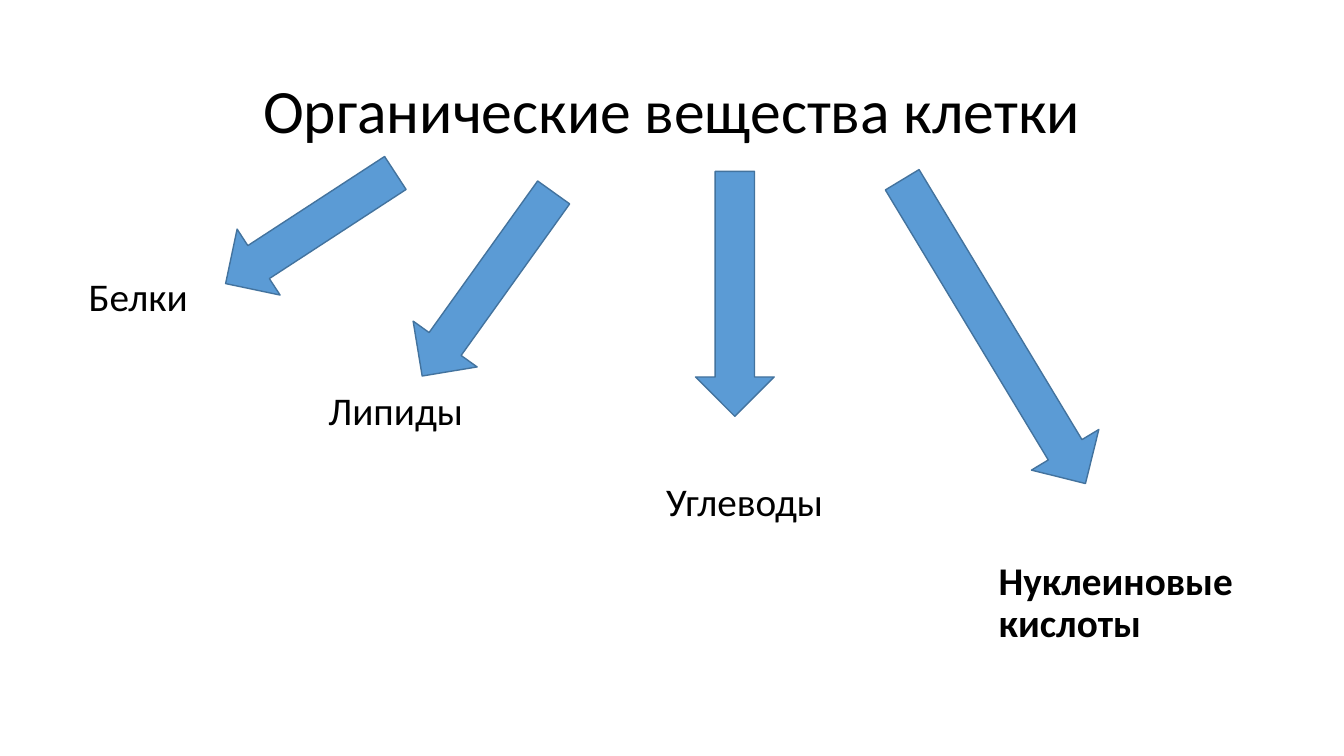
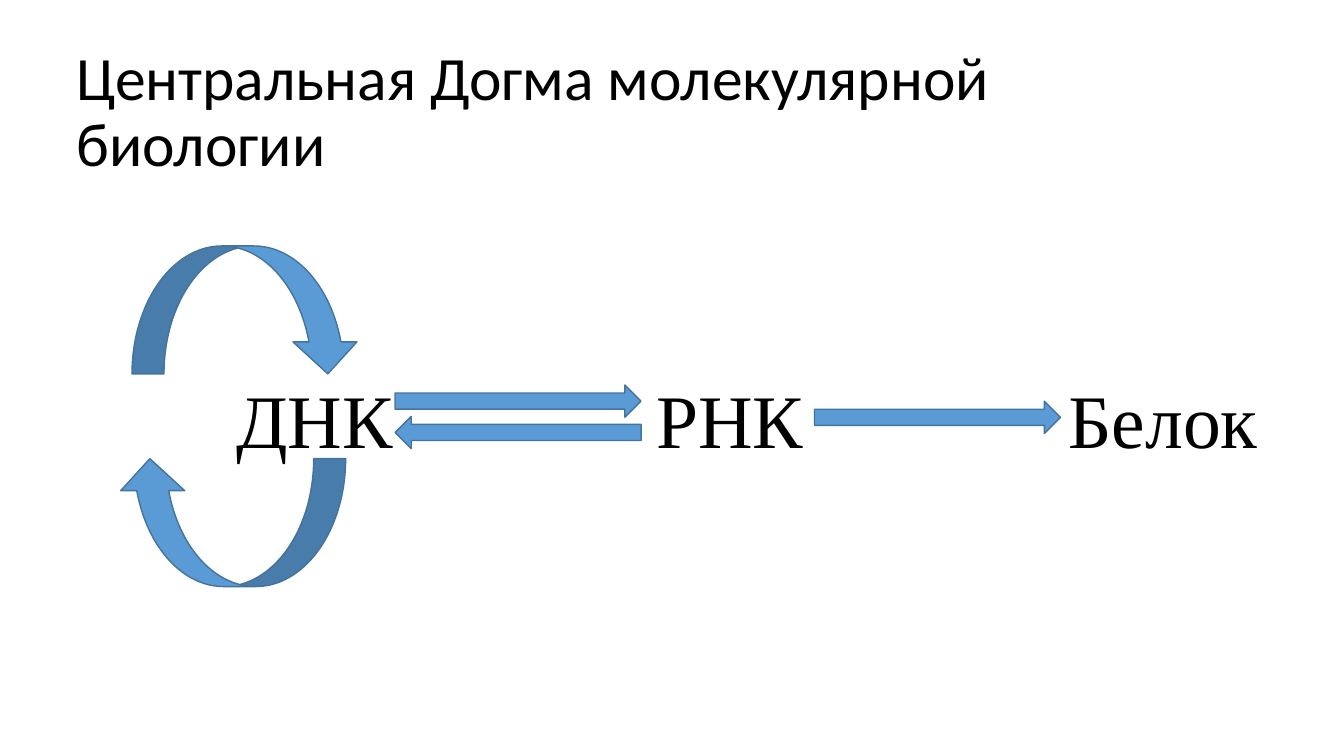
from pptx import Presentation
from pptx.dml.color import RGBColor
from pptx.enum.shapes import MSO_SHAPE
from pptx.enum.text import MSO_ANCHOR, PP_ALIGN
from pptx.util import Pt

DOWN = MSO_SHAPE.DOWN_ARROW
RIGHT = MSO_SHAPE.RIGHT_ARROW
CURVED = MSO_SHAPE.CURVED_DOWN_ARROW
TOP, MIDDLE = MSO_ANCHOR.TOP, MSO_ANCHOR.MIDDLE
LEFT, CENTER = PP_ALIGN.LEFT, PP_ALIGN.CENTER

BLUE = RGBColor(0x5B, 0x9B, 0xD5)
DARK_BLUE = RGBColor(0x43, 0x73, 0x9E)
BLACK = RGBColor(0, 0, 0)
BODY_FONT, SCHEME_FONT = "Calibri", "Times New Roman"

# Lengths are in points; boxes are (left, top, width, height).
SUBSTANCES_TITLE = "Органические вещества клетки"
SUBSTANCES = [  # name, box, bold
    ("Белки", (56.2, 194.4, 116.6, 56.2), False),
    ("Липиды", (227.5, 276.5, 116.6, 56.2), False),
    ("Углеводы", (468.7, 341.3, 133.9, 56.2), False),
    ("Нуклеиновые кислоты", (706.3, 397.4, 187.2, 68.4), True),
]
SUBSTANCE_ARROW_WIDTH = 56.2
SUBSTANCE_ARROWS = [  # left, top, length, rotation
    (193.7, 90.7, 144.7, 56.9),
    (320.4, 122.4, 161.3, 35.6),
    (496.8, 122.4, 175, 0),
    (681.8, 110.2, 253.4, 328.9),
]

DOGMA_TITLE = "Центральная Догма молекулярной биологии"
WORD_TOP, WORD_WIDTH, WORD_HEIGHT = 270, 160, 64
WORDS = [("ДНК", 161.8), ("РНК", 461.8), ("Белок", 756.2)]  # word, left
LOOP_SIZE = (162.7, 91.4)
STEP_SIZE = (175.7, 23)
DOGMA_ARROWS = [  # kind, left, top, size, rotation
    (CURVED, 94.3, 175.7, LOOP_SIZE, 0),
    (CURVED, 84.2, 327.6, LOOP_SIZE, 180),
    (RIGHT, 282.2, 275, STEP_SIZE, 0),
    (RIGHT, 282.2, 297.4, STEP_SIZE, 180),
    (RIGHT, 581.8, 286.6, STEP_SIZE, 0),
]


def add_text(slide, text, box, size, font=BODY_FONT, bold=False,
             align=LEFT, anchor=TOP):
    frame = slide.shapes.add_textbox(*map(Pt, box)).text_frame
    frame.word_wrap = True
    frame.vertical_anchor = anchor
    paragraph = frame.paragraphs[0]
    paragraph.text = text
    paragraph.alignment = align
    paragraph.line_spacing = 0.9
    paragraph.font.name = font
    paragraph.font.size = Pt(size)
    paragraph.font.bold = bold
    paragraph.font.color.rgb = BLACK


def add_title(slide, text, left, width, align):
    add_text(slide, text, (left, 28.8, width, 104.4), 44,
             align=align, anchor=MIDDLE)


def add_arrow(slide, kind, left, top, size, rotation):
    arrow = slide.shapes.add_shape(kind, *map(Pt, (left, top, *size)))
    arrow.rotation = rotation
    arrow.shadow.inherit = False
    arrow.fill.solid()
    arrow.fill.fore_color.rgb = BLUE
    arrow.line.color.rgb = DARK_BLUE
    arrow.line.width = Pt(1)


def build_substances(slide):
    add_title(slide, SUBSTANCES_TITLE, 66.2, 828, CENTER)
    for name, box, bold in SUBSTANCES:
        add_text(slide, name, box, 28, bold=bold)
    for left, top, length, rotation in SUBSTANCE_ARROWS:
        add_arrow(slide, DOWN, left, top,
                  (SUBSTANCE_ARROW_WIDTH, length), rotation)


def build_dogma(slide):
    add_title(slide, DOGMA_TITLE, 47.5, 846.7, LEFT)
    for word, left in WORDS:
        add_text(slide, word, (left, WORD_TOP, WORD_WIDTH, WORD_HEIGHT),
                 54, SCHEME_FONT)
    for arrow in DOGMA_ARROWS:
        add_arrow(slide, *arrow)


def main():
    presentation = Presentation()
    presentation.slide_width = Pt(960)
    presentation.slide_height = Pt(540)
    blank = presentation.slide_layouts[6]
    for build in (build_substances, build_dogma):
        build(presentation.slides.add_slide(blank))
    presentation.save("out.pptx")


if __name__ == "__main__":
    main()
